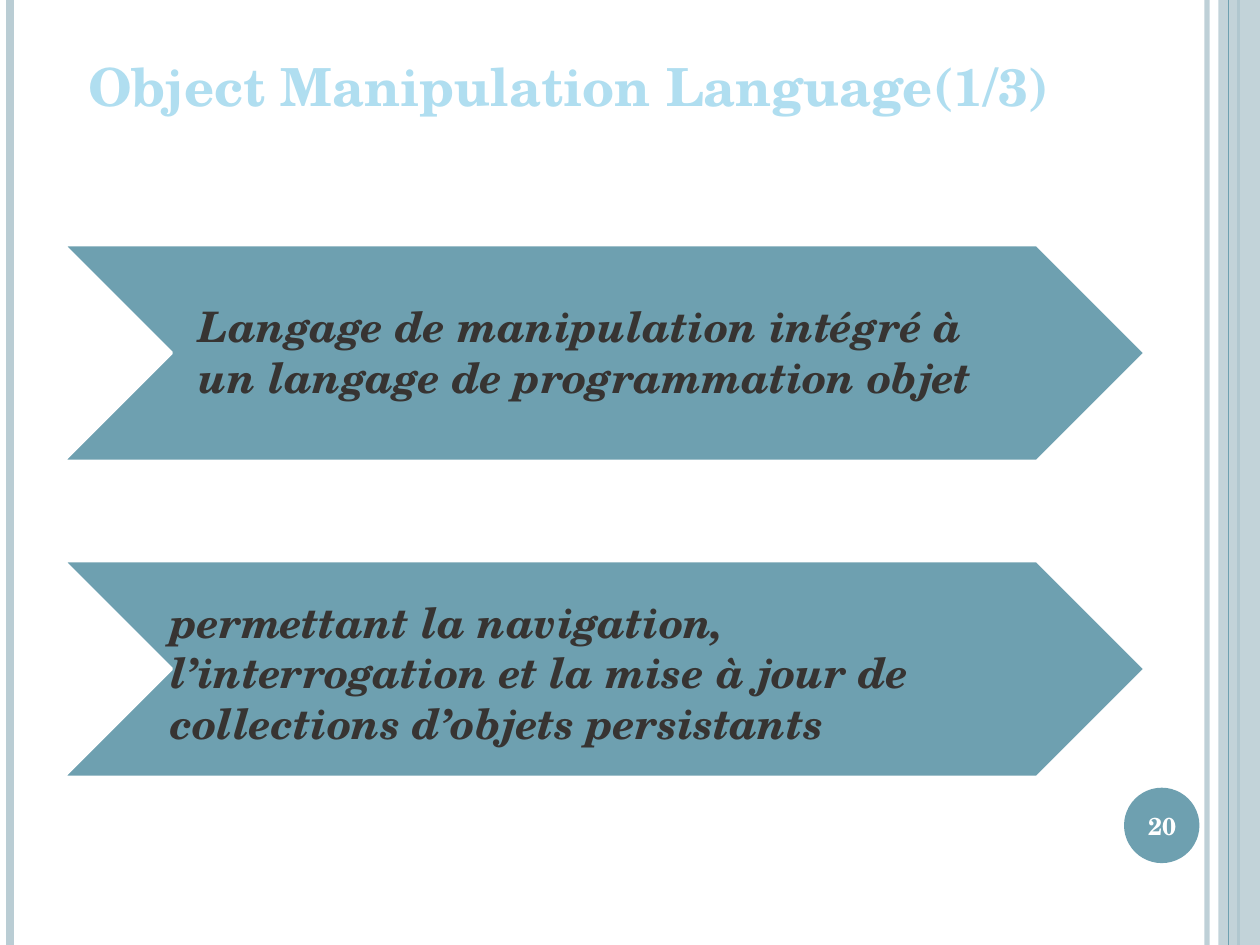
import dataclasses

import lxml.etree
import pptx
import pptx.dml.color
import pptx.enum.shapes
import pptx.enum.text
import pptx.oxml.ns
import pptx.util

Cm = pptx.util.Cm
Align = pptx.enum.text.PP_ALIGN
Anchor = pptx.enum.text.MSO_ANCHOR
AutoSize = pptx.enum.text.MSO_AUTO_SIZE
Preset = pptx.enum.shapes.MSO_SHAPE


@dataclasses.dataclass(frozen=True)
class Theme:
    font: str = "TeX Gyre Schola"
    teal: str = "6EA0B0"
    mist: str = "BACDD4"
    sky: str = "B0DEF0"
    ink: str = "373432"
    white: str = "FFFFFF"
    title_size: int = 30
    body_size: int = 24
    number_size: int = 14


@dataclasses.dataclass(frozen=True)
class Box:
    """An area in centimetres."""
    left: float
    top: float
    width: float
    height: float

    def inner(self, left, top, width, height):
        """Return an area whose offset is counted from this box."""
        return Box(self.left + left, self.top + top, width, height)

    def lengths(self):
        return [Cm(value) for value in dataclasses.astuple(self)]


THEME = Theme()


def rgb(code):
    return pptx.dml.color.RGBColor.from_string(code)


def set_opacity(shape, percent):
    for color in shape._element.spPr.iter(pptx.oxml.ns.qn("a:srgbClr")):
        alpha = lxml.etree.SubElement(color, pptx.oxml.ns.qn("a:alpha"))
        alpha.set("val", str(percent * 1000))


def write(shape, *lines, size, color, align=Align.LEFT, anchor=Anchor.TOP,
          italic=False, auto_size=AutoSize.NONE):
    """Fill a shape with one bold paragraph per line."""
    frame = shape.text_frame
    frame.word_wrap = True
    frame.auto_size = auto_size
    frame.vertical_anchor = anchor
    for index, line in enumerate(lines):
        para = frame.add_paragraph() if index else frame.paragraphs[0]
        para.alignment = align
        span = para.add_run()
        span.text = line
        span.font.name = THEME.font
        span.font.size = pptx.util.Pt(size)
        span.font.bold = True
        span.font.italic = italic
        span.font.color.rgb = rgb(color)


def add_shape(shapes, preset, box, fill, outline=None):
    shape = shapes.add_shape(preset, *box.lengths())
    shape.shadow.inherit = False
    shape.fill.solid()
    shape.fill.fore_color.rgb = rgb(fill)
    if outline:
        shape.line.color.rgb = rgb(outline)
        shape.line.width = pptx.util.Pt(2)
    else:
        shape.line.fill.background()
    return shape


def add_rule(page, box, offset, color, weight):
    """Draw a vertical line over the full height of the box."""
    x = Cm(box.left + offset)
    rule = page.shapes.add_connector(
        pptx.enum.shapes.MSO_CONNECTOR.STRAIGHT,
        x, Cm(box.top), x, Cm(box.top + box.height))
    rule.line.color.rgb = rgb(color)
    rule.line.width = pptx.util.Pt(weight)
    lxml.etree.SubElement(rule._element.spPr, pptx.oxml.ns.qn("a:effectLst"))
    return rule


def add_side_bands(page, box):
    set_opacity(add_rule(page, box, 24.33, THEME.mist, 3), 93)
    add_rule(page, box, 0.21, THEME.mist, 4.5)
    add_rule(page, box, 24.97, THEME.teal, 1.5)
    band = add_shape(page.shapes, Preset.RECTANGLE,
                     box.inner(24.56, 0, 0.84, box.height), THEME.mist)
    set_opacity(band, 87)
    add_rule(page, box, 24.77, THEME.teal, 0.75)


def add_title(page, box, text):
    title = page.shapes.title
    title.left, title.top, title.width, title.height = box.lengths()
    write(title, text, size=THEME.title_size, color=THEME.sky,
          align=Align.CENTER, anchor=Anchor.BOTTOM)


def add_page_number(page, box, number):
    add_shape(page.shapes, Preset.OVAL, box, THEME.teal)
    label = page.shapes.add_textbox(*box.inner(-0.08, 0.05, 1.7, 1.45).lengths())
    write(label, number, size=THEME.number_size, color=THEME.white,
          align=Align.CENTER, anchor=Anchor.MIDDLE)


def add_statements(page, box, statements, arrow_height):
    """Spread one chevron per statement over the box, each with its text."""
    step = (box.height - arrow_height) / (len(statements) - 1)
    arrows = page.shapes.add_group_shape()
    for index, (lines, left, top, width) in enumerate(statements):
        arrow_box = box.inner(0, index * step, box.width, arrow_height)
        add_shape(arrows.shapes, Preset.CHEVRON, arrow_box,
                  THEME.teal, outline=THEME.white)
        label = page.shapes.add_textbox(
            *arrow_box.inner(left, top, width, 3.33).lengths())
        write(label, *lines, size=THEME.body_size, color=THEME.ink,
              italic=True, auto_size=AutoSize.SHAPE_TO_FIT_TEXT)


def main():
    deck = pptx.Presentation()
    deck.slide_width, deck.slide_height = Cm(25.4), Cm(19.05)
    page = deck.slides.add_slide(deck.slide_layouts.get_by_name("Title Only"))
    add_side_bands(page, Box(0, 0, 25.4, 19.05))
    add_title(page, Box(1.09, -0.69, 20.75, 3.18),
              "Object Manipulation Language(1/3)")
    statements = [
        (["Langage de manipulation intégré à un langage de programmation objet"],
         2.49, 1.01, 16.08),
        (["permettant la navigation,",
          "l’interrogation et la mise à jour de collections d’objets persistants"],
         1.91, 0.6, 18.67),
    ]
    add_statements(page, Box(1.27, 4.93, 21.82, 10.74), statements,
                   arrow_height=4.37)
    add_page_number(page, Box(22.66, 15.88, 1.52, 1.52), "20")
    deck.save("out.pptx")


if __name__ == "__main__":
    main()
